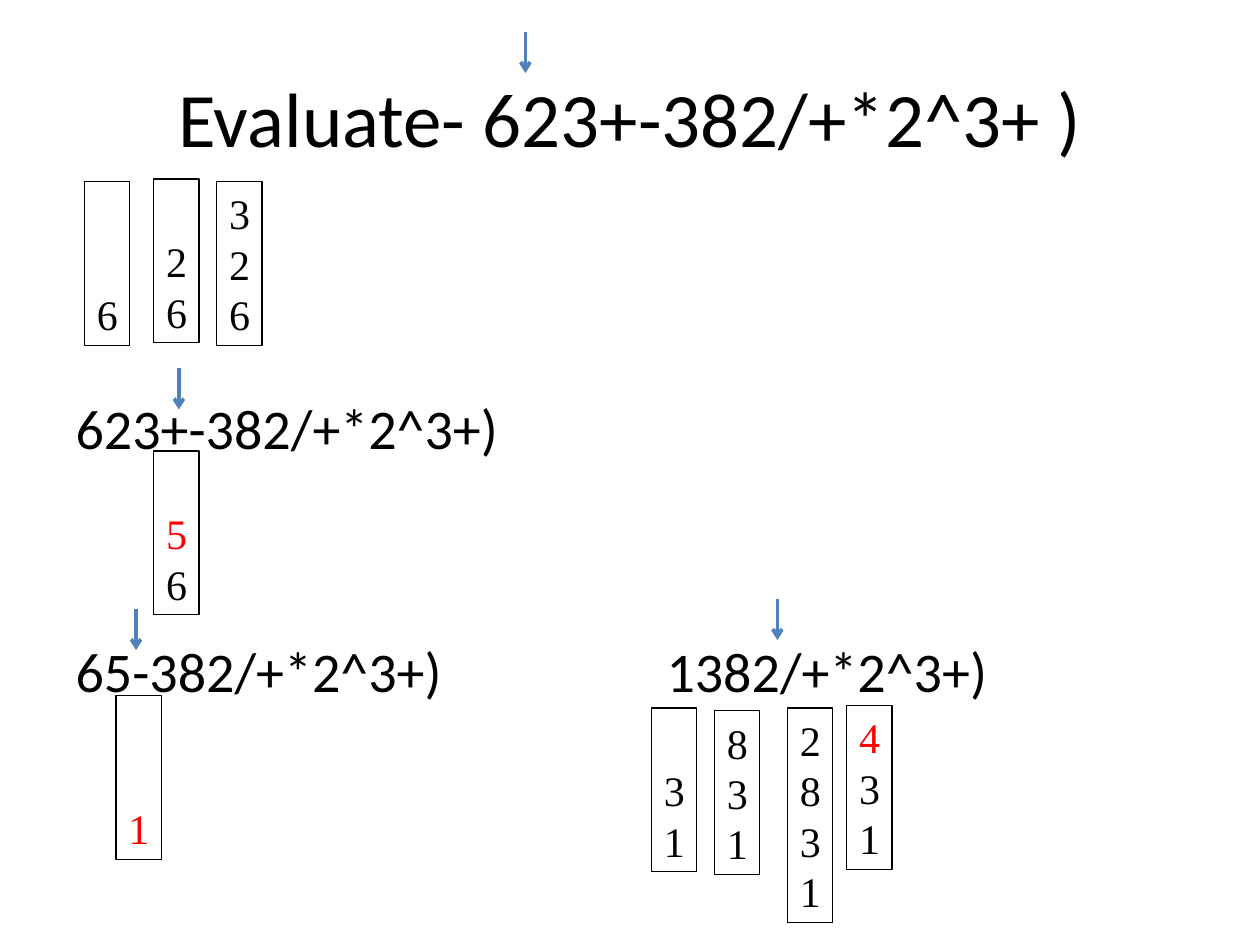
from dataclasses import dataclass

from lxml.etree import SubElement
from pptx import Presentation
from pptx.dml.color import RGBColor
from pptx.enum.shapes import MSO_CONNECTOR, MSO_SHAPE
from pptx.enum.text import MSO_ANCHOR, PP_ALIGN
from pptx.oxml.ns import qn
from pptx.slide import Slide
from pptx.util import Inches, Pt

BLACK = RGBColor(0x00, 0x00, 0x00)
RED = RGBColor(0xFF, 0x00, 0x00)
BLUE = RGBColor(0x4F, 0x81, 0xBD)
ARROW_LENGTH = 0.33
STACK_WIDTH = 0.36


@dataclass(frozen=True)
class Expression:
    text: str
    left: float
    top: float
    width: float
    height: float = 0.54
    size: int = 32
    align: PP_ALIGN = PP_ALIGN.LEFT


@dataclass(frozen=True)
class Stack:
    values: str
    left: float
    top: float
    height: float = 1.3
    result: str = ""


@dataclass(frozen=True)
class Pointer:
    left: float
    top: float


EXPRESSIONS = (
    Expression("Evaluate- 623+-382/+*2^3+ )", 0.5, 0.3, 9, 1.25, 44, PP_ALIGN.CENTER),
    Expression("623+-382/+*2^3+)", 0.6, 3.12, 4),
    Expression("65-382/+*2^3+)", 0.6, 5.05, 4),
    Expression("1382/+*2^3+)", 5.29, 5.05, 4),
)

STACKS = (
    Stack("6", 0.67, 1.44),
    Stack("26", 1.22, 1.42),
    Stack("326", 1.72, 1.44),
    Stack("56", 1.22, 3.58, result="5"),
    Stack("1", 0.92, 5.52, result="1"),
    Stack("31", 5.17, 5.62),
    Stack("831", 5.67, 5.64),
    Stack("2831", 6.25, 5.62, height=1.7),
    Stack("431", 6.72, 5.6, result="4"),
)

POINTERS = (
    Pointer(4.17, 0.25),
    Pointer(1.42, 2.92),
    Pointer(1.08, 4.83),
    Pointer(6.17, 4.75),
)


def draw_expression(page: Slide, expression: Expression) -> None:
    box = page.shapes.add_textbox(
        Inches(expression.left), Inches(expression.top),
        Inches(expression.width), Inches(expression.height),
    )
    frame = box.text_frame
    frame.word_wrap = True
    frame.vertical_anchor = MSO_ANCHOR.MIDDLE
    frame.margin_left = frame.margin_right = 0
    frame.margin_top = frame.margin_bottom = 0
    para = frame.paragraphs[0]
    para.text = expression.text
    para.alignment = expression.align
    para.font.name = "Calibri"
    para.font.size = Pt(expression.size)
    para.font.color.rgb = BLACK


def draw_stack(page: Slide, stack: Stack) -> None:
    box = page.shapes.add_shape(
        MSO_SHAPE.RECTANGLE, Inches(stack.left), Inches(stack.top),
        Inches(STACK_WIDTH), Inches(stack.height),
    )
    box.shadow.inherit = False
    box.fill.background()
    box.line.color.rgb = BLACK
    box.line.width = Pt(0.75)
    frame = box.text_frame
    frame.word_wrap = False
    frame.vertical_anchor = MSO_ANCHOR.BOTTOM
    for index, value in enumerate(stack.values):
        para = frame.add_paragraph() if index else frame.paragraphs[0]
        para.text = value
        para.alignment = PP_ALIGN.LEFT
        para.font.name = "Times New Roman"
        para.font.size = Pt(24)
        para.font.color.rgb = RED if value == stack.result else BLACK


def draw_pointer(page: Slide, pointer: Pointer) -> None:
    arrow = page.shapes.add_connector(
        MSO_CONNECTOR.STRAIGHT, Inches(pointer.left), Inches(pointer.top),
        Inches(pointer.left), Inches(pointer.top + ARROW_LENGTH),
    )
    arrow.line.color.rgb = BLUE
    arrow.line.width = Pt(2)
    SubElement(arrow.line._get_or_add_ln(), qn("a:tailEnd"), type="arrow")
    SubElement(arrow._element.spPr, qn("a:effectLst"))


def main() -> None:
    deck = Presentation()
    deck.slide_width = Inches(10)
    deck.slide_height = Inches(7.5)
    page = deck.slides.add_slide(deck.slide_layouts[6])
    for expression in EXPRESSIONS:
        draw_expression(page, expression)
    for stack in STACKS:
        draw_stack(page, stack)
    for pointer in POINTERS:
        draw_pointer(page, pointer)
    deck.save("out.pptx")


if __name__ == "__main__":
    main()
